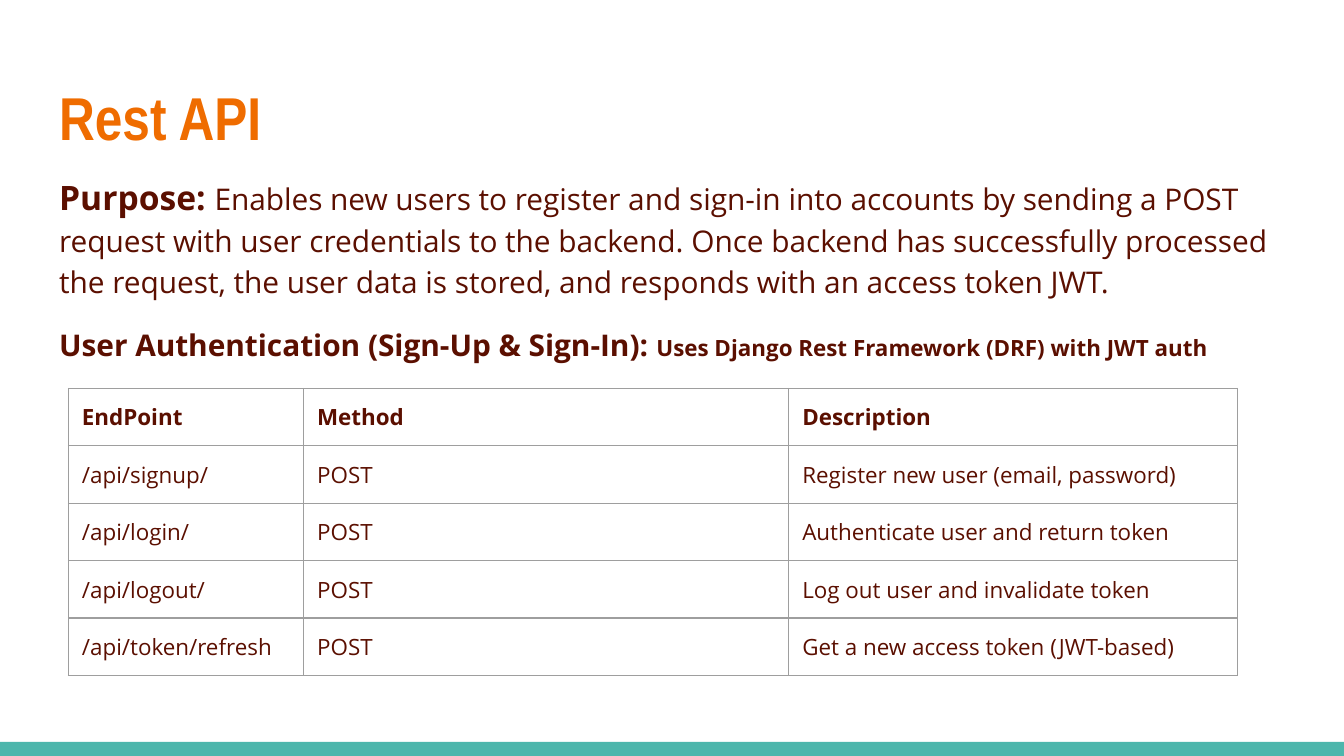
"""Build the Rest API slide with its endpoint table."""
from dataclasses import dataclass

from lxml.etree import SubElement as Sub
from pptx import Presentation
from pptx.dml.color import RGBColor as Rgb
from pptx.enum.shapes import MSO_SHAPE as Shape
from pptx.enum.text import MSO_ANCHOR as Anchor, MSO_AUTO_SIZE as Fit, PP_ALIGN as Align
from pptx.oxml.ns import qn
from pptx.util import Inches, Pt


@dataclass(frozen=True)
class Theme:
    head: str = "EF6C00"
    ink: str = "5B0F00"
    bar: str = "4DB6AC"
    rule: str = "9E9E9E"
    title: float = 32.4
    lead: int = 18
    text: int = 16
    small: int = 12
    line: float = 0.75
    display: str = "Arial Narrow"
    sans: str = "Open Sans"


theme = Theme()


def add_run(para, text, size, bold=False, color=theme.ink, face=theme.sans):
    run = para.add_run()
    run.text = text
    font = run.font
    font.name, font.size, font.bold = face, Pt(size), bold
    font.color.rgb = Rgb.from_string(color)


def place(shape, left, top, width, height, anchor):
    shape.left, shape.top = Inches(left), Inches(top)
    shape.width, shape.height = Inches(width), Inches(height)
    frame = shape.text_frame
    frame.margin_left = frame.margin_right = Inches(0.1)
    frame.margin_top = frame.margin_bottom = Inches(0.1)
    frame.word_wrap, frame.auto_size = True, Fit.NONE
    frame.vertical_anchor = anchor
    return frame


deck = Presentation()
deck.slide_width = Inches(10)
deck.slide_height = deck.slide_width * 9 // 16
slide = deck.slides.add_slide(deck.slide_layouts[1])

top = Inches(5.52)
bar = slide.shapes.add_shape(
    Shape.RECTANGLE, 0, top, deck.slide_width, deck.slide_height - top
)
bar.shadow.inherit = False
bar.fill.solid()
bar.fill.fore_color.rgb = Rgb.from_string(theme.bar)
bar.line.fill.background()

title = place(slide.shapes.title, 0.34, 0.48, 9.32, 0.77, Anchor.MIDDLE)
para = title.paragraphs[0]
para.alignment = Align.LEFT
add_run(para, "Rest API", theme.title, True, theme.head, theme.display)

body = place(slide.placeholders[1], 0.34, 1.17, 9.32, 4.1, Anchor.TOP)
intro = (
    "Enables new users to register and sign-in into accounts by sending a POST "
    "request with user credentials to the backend. Once backend has successfully "
    "processed the request, the user data is stored, and responds with an access "
    "token JWT."
)
items = [
    (0, [("Purpose: ", theme.lead, True), (intro, theme.text, False)]),
    (12, [
        ("User Authentication (Sign-Up & Sign-In): ", theme.text, True),
        ("Uses Django Rest Framework (DRF) with JWT auth", theme.small, True),
    ]),
]
for i, (gap, runs) in enumerate(items):
    para = body.add_paragraph() if i else body.paragraphs[0]
    para.line_spacing, para.space_before = 1.15, Pt(gap)
    props = para._p.get_or_add_pPr()
    props.set("marL", "0")
    props.set("indent", "0")
    Sub(props, qn("a:buNone"))
    for run in runs:
        add_run(para, *run)

rows = [
    ("EndPoint", "Method", "Description"),
    ("/api/signup/", "POST", "Register new user (email, password)"),
    ("/api/login/", "POST", "Authenticate user and return token"),
    ("/api/logout/", "POST", "Log out user and invalidate token"),
    ("/api/token/refresh", "POST", "Get a new access token (JWT-based)"),
]
widths = [1.75, 3.61, 3.34]
high = 0.42
grid = slide.shapes.add_table(
    len(rows), len(widths), Inches(0.51), Inches(2.89),
    Inches(sum(widths)), Inches(high * len(rows)),
).table
for col, width in zip(grid.columns, widths):
    col.width = Inches(width)
for r, row in enumerate(rows):
    grid.rows[r].height = Inches(high)
    for c, text in enumerate(row):
        cell = grid.cell(r, c)
        cell.margin_left = cell.margin_right = Inches(0.1)
        cell.margin_top = cell.margin_bottom = Inches(0.1)
        add_run(cell.text_frame.paragraphs[0], text, theme.small, r == 0)
        props = cell._tc.get_or_add_tcPr()
        for side in ("lnL", "lnR", "lnT", "lnB"):
            edge = Sub(props, qn(f"a:{side}"), w=str(Pt(theme.line)))
            Sub(Sub(edge, qn("a:solidFill")), qn("a:srgbClr"), val=theme.rule)
        cell.fill.background()

deck.save("out.pptx")
